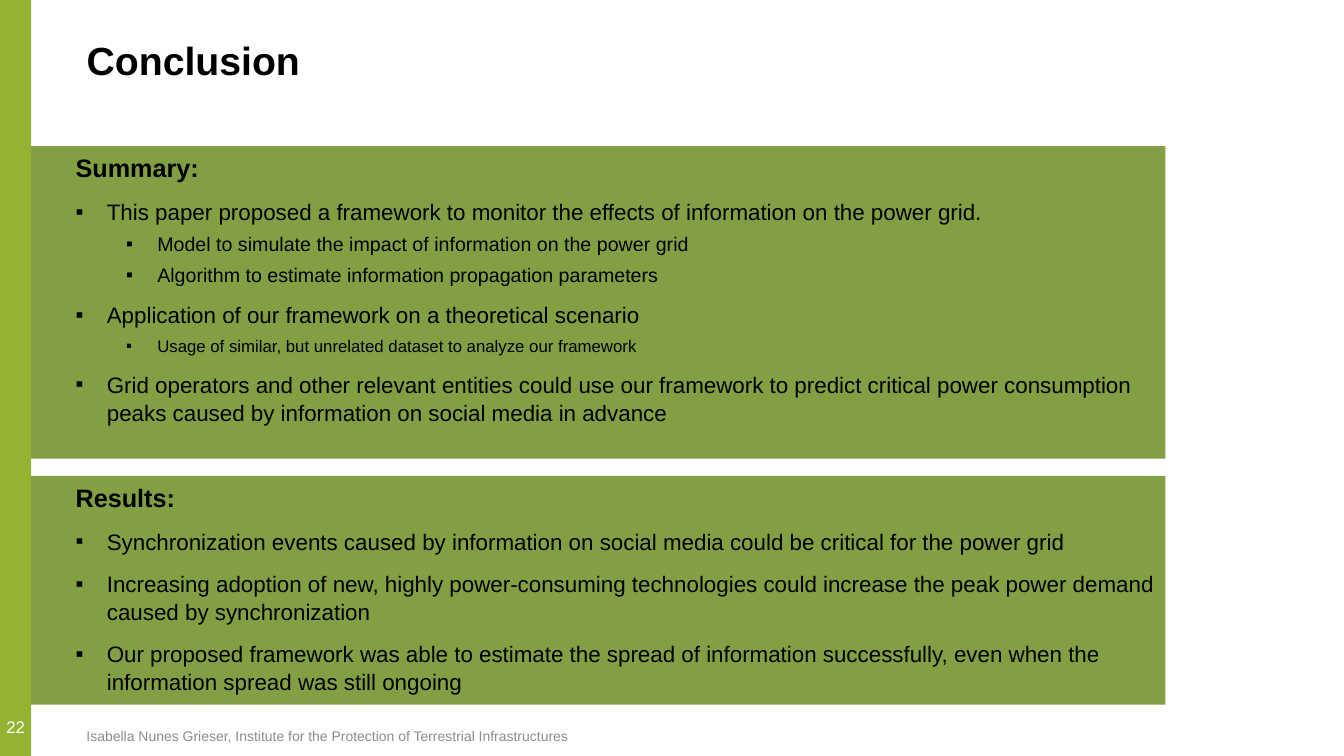
import lxml.etree
import pptx
import pptx.dml.color
import pptx.enum.shapes
import pptx.enum.text
import pptx.oxml.ns
import pptx.util

Inches = pptx.util.Inches
Pt = pptx.util.Pt
Anchor = pptx.enum.text.MSO_ANCHOR
Align = pptx.enum.text.PP_ALIGN

TITLE = "Conclusion"
FOOTER = "Isabella Nunes Grieser, Institute for the Protection of Terrestrial Infrastructures"
PAGE_NUMBER = "22"
PANELS = [
    {
        "top": 1.45,
        "height": 3.1,
        "lines": [
            ("heading", "Summary:"),
            ("point", "This paper proposed a framework to monitor the effects of information on the power grid."),
            ("detail", "Model to simulate the impact of information on the power grid"),
            ("detail", "Algorithm to estimate information propagation parameters"),
            ("point", "Application of our framework on a theoretical scenario"),
            ("remark", "Usage of similar, but unrelated dataset to analyze our framework"),
            ("point", "Grid operators and other relevant entities could use our framework to predict "
                      "critical power consumption peaks caused by information on social media in advance"),
        ],
    },
    {
        "top": 4.72,
        "height": 2.27,
        "lines": [
            ("heading", "Results:"),
            ("point", "Synchronization events caused by information on social media could be critical "
                      "for the power grid"),
            ("point", "Increasing adoption of new, highly power-consuming technologies could increase "
                      "the peak power demand caused by synchronization"),
            ("point", "Our proposed framework was able to estimate the spread of information "
                      "successfully, even when the information spread was still ongoing"),
        ],
    },
]

THEME = {
    "font": "Arial",
    "bar": "94B333",
    "panel": "82A043",
    "title": {"size": 28, "color": "000000", "bold": True},
    "footer": {"size": 10, "color": "8C8C8C"},
    "number": {"size": 12, "color": "FFFFFF"},
    "heading": {"size": 18, "color": "000000", "bold": True},
    "point": {"size": 16, "color": "000000"},
    "detail": {"size": 14, "color": "000000"},
    "remark": {"size": 12, "color": "000000"},
}
TOP_LINE = {"level": 0, "space_before": Pt(10), "line_spacing": 1.05}
SUB_LINE = {"level": 1, "space_before": Pt(5), "line_spacing": 1.0}
LINE_FORMATS = {"heading": TOP_LINE, "point": TOP_LINE, "detail": SUB_LINE, "remark": SUB_LINE}
INDENTS = {"heading": (0.34, 0), "point": (0.65, -0.31), "detail": (1.15, -0.31), "remark": (1.15, -0.31)}
BULLET = "▪"
BAR_WIDTH = 0.31
PANEL_WIDTH = 11.25
TEXT_LEFT = 0.76


def apply(target, formats):
    for name, value in formats.items():
        setattr(target, name, value)


def place(box, left, top, width, height):
    apply(box, {"left": Inches(left), "top": Inches(top),
                "width": Inches(width), "height": Inches(height)})


def paint(shape, color):
    shape.fill.solid()
    shape.fill.fore_color.rgb = pptx.dml.color.RGBColor.from_string(color)


def write(para, text, style):
    look = THEME[style]
    span = para.add_run()
    span.text = text
    apply(span.font, {"name": THEME["font"], "size": Pt(look["size"]), "bold": look.get("bold", False)})
    span.font.color.rgb = pptx.dml.color.RGBColor.from_string(look["color"])


def indent(para, kind):
    margin, hanging = INDENTS[kind]
    properties = para._p.get_or_add_pPr()
    properties.set("marL", str(Inches(margin)))
    properties.set("indent", str(Inches(hanging)))
    tag = "a:buNone" if kind == "heading" else "a:buChar"
    bullet = lxml.etree.SubElement(properties, pptx.oxml.ns.qn(tag))
    if kind != "heading":
        bullet.set("char", BULLET)


def add_bar(page):
    bar = page.shapes.add_shape(pptx.enum.shapes.MSO_SHAPE.RECTANGLE, 0, 0, Inches(BAR_WIDTH), Inches(7.5))
    bar.shadow.inherit = False
    paint(bar, THEME["bar"])
    bar.line.fill.background()


def fill_title(box):
    place(box, TEXT_LEFT, 0.36, 11, 1.08)
    apply(box.text_frame, {"vertical_anchor": Anchor.TOP, "auto_size": pptx.enum.text.MSO_AUTO_SIZE.NONE})
    para = box.text_frame.paragraphs[0]
    apply(para, {"alignment": Align.LEFT, "line_spacing": 0.9})
    write(para, TITLE, "title")


def fill_panel(box, panel):
    place(box, BAR_WIDTH, panel["top"], PANEL_WIDTH, panel["height"])
    paint(box, THEME["panel"])
    frame = box.text_frame
    apply(frame, {"vertical_anchor": Anchor.TOP, "auto_size": pptx.enum.text.MSO_AUTO_SIZE.NONE})
    for index, (kind, text) in enumerate(panel["lines"]):
        para = frame.add_paragraph() if index else frame.paragraphs[0]
        apply(para, LINE_FORMATS[kind])
        indent(para, kind)
        write(para, text, kind)


def add_label(page, text, style, position, frame_formats, alignment):
    box = page.shapes.add_textbox(0, 0, 0, 0)
    place(box, *position)
    apply(box.text_frame, frame_formats)
    para = box.text_frame.paragraphs[0]
    para.alignment = alignment
    write(para, text, style)


def main():
    deck = pptx.Presentation()
    apply(deck, {"slide_width": Inches(13.33), "slide_height": Inches(7.5)})
    page = deck.slides.add_slide(deck.slide_layouts.get_by_name("Two Content"))
    title, *bodies = page.placeholders
    add_bar(page)
    fill_title(title)
    for box, panel in zip(bodies, PANELS):
        fill_panel(box, panel)
    add_label(page, FOOTER, "footer", (TEXT_LEFT, 7.16, 7.47, 0.28),
              {"vertical_anchor": Anchor.MIDDLE, "word_wrap": True}, Align.LEFT)
    add_label(page, PAGE_NUMBER, "number", (0, 5.84, BAR_WIDTH, 1.57),
              {"vertical_anchor": Anchor.BOTTOM, "word_wrap": False,
               "margin_left": Inches(0.04), "margin_right": Inches(0.04),
               "margin_top": Inches(0.1), "margin_bottom": Inches(0.1)}, Align.CENTER)
    deck.save("out.pptx")


if __name__ == "__main__":
    main()
